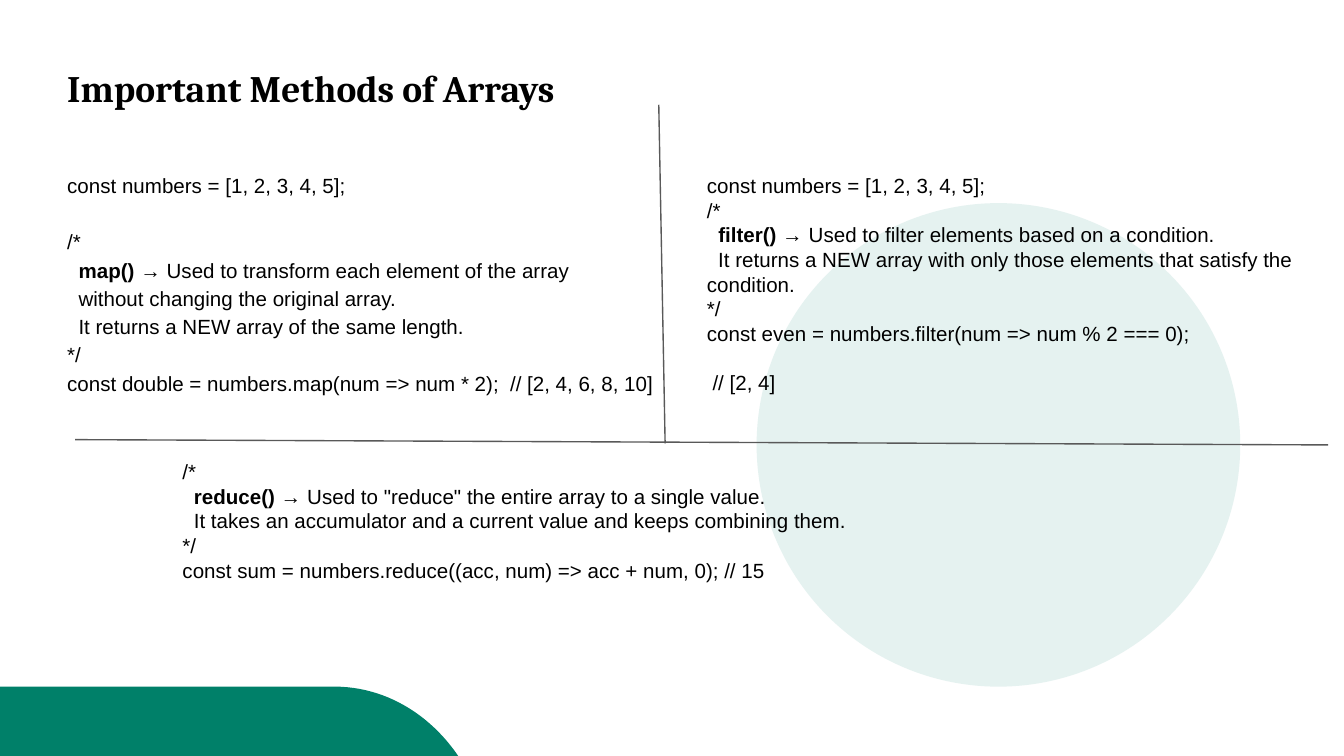
from dataclasses import dataclass

import pptx
import pptx.dml.color
import pptx.enum.shapes
import pptx.enum.text
import pptx.oxml
import pptx.util
from pptx.util import Cm


@dataclass(frozen=True)
class Theme:
    text: str = "000000"
    circle: str = "E5F2F0"
    accent: str = "008069"
    divider: str = "595959"
    title_font: str = "Cambria"
    body_font: str = "Arial"
    title_size: int = 20
    body_size: int = 11
    divider_width: float = 0.75
    inset: float = 0.25


class SlideBuilder:
    def __init__(self, slide, theme):
        self.slide = slide
        self.theme = theme

    def color(self, value):
        return pptx.dml.color.RGBColor.from_string(value)

    def place(self, shape, left, top, width, height):
        shape.left, shape.top = Cm(left), Cm(top)
        shape.width, shape.height = Cm(width), Cm(height)

    def prepare_frame(self, text_frame):
        text_frame.word_wrap = True
        text_frame.auto_size = pptx.enum.text.MSO_AUTO_SIZE.NONE
        text_frame.vertical_anchor = pptx.enum.text.MSO_ANCHOR.TOP
        for side in ("left", "right", "top", "bottom"):
            setattr(text_frame, f"margin_{side}", Cm(self.theme.inset))

    def style_run(self, run, font_name, size, bold):
        run.font.name = font_name
        run.font.size = pptx.util.Pt(size)
        run.font.bold = bold
        run.font.color.rgb = self.color(self.theme.text)

    def fill(self, shape, color):
        shape.shadow.inherit = False
        shape.fill.solid()
        shape.fill.fore_color.rgb = self.color(color)
        shape.line.fill.background()

    def circle(self, left, top, diameter):
        shape = self.slide.shapes.add_shape(
            pptx.enum.shapes.MSO_SHAPE.OVAL,
            Cm(left), Cm(top), Cm(diameter), Cm(diameter))
        self.fill(shape, self.theme.circle)

    def corner(self, top, bottom, curve, steps=24):
        points = []
        for step in range(steps + 1):
            t = step / steps
            weights = ((1 - t) ** 3, 3 * t * (1 - t) ** 2, 3 * t ** 2 * (1 - t), t ** 3)
            points.append(tuple(
                Cm(sum(weight * point[axis] for weight, point in zip(weights, curve)))
                for axis in (0, 1)))
        builder = self.slide.shapes.build_freeform(0, Cm(top))
        builder.add_line_segments(points + [(0, Cm(bottom))], close=True)
        self.fill(builder.convert_to_shape(), self.theme.accent)

    def title(self, text, left, top, width, height):
        shape = self.slide.shapes.title
        self.place(shape, left, top, width, height)
        self.prepare_frame(shape.text_frame)
        shape.text_frame.text = text
        paragraph = shape.text_frame.paragraphs[0]
        paragraph.alignment = pptx.enum.text.PP_ALIGN.LEFT
        self.style_run(paragraph.runs[0], self.theme.title_font, self.theme.title_size, True)

    def code(self, lines, bold_text, box, spacing=1.0, first_spacing=None, gaps=None):
        shape = self.slide.shapes.add_textbox(*map(Cm, box))
        text_frame = shape.text_frame
        self.prepare_frame(text_frame)
        for index, line in enumerate(lines):
            paragraph = text_frame.add_paragraph() if index else text_frame.paragraphs[0]
            paragraph.line_spacing = spacing if index else first_spacing or spacing
            paragraph.space_before = pptx.util.Pt((gaps or {}).get(index, 0))
            for part in line.partition(bold_text):
                if part:
                    run = paragraph.add_run()
                    run.text = part
                    self.style_run(run, self.theme.body_font, self.theme.body_size,
                                   part == bold_text)

    def divider(self, start, end):
        connector = self.slide.shapes.add_connector(
            pptx.enum.shapes.MSO_CONNECTOR.STRAIGHT, *map(Cm, start + end))
        connector.line.color.rgb = self.color(self.theme.divider)
        connector.line.width = pptx.util.Pt(self.theme.divider_width)
        properties = connector.element.spPr
        properties.append(pptx.oxml.parse_xml(
            '<a:effectLst xmlns:a="http://schemas.openxmlformats.org/drawingml/2006/main"/>'))


def main():
    presentation = pptx.Presentation()
    presentation.slide_width, presentation.slide_height = Cm(25.4), Cm(14.29)
    slide = presentation.slides.add_slide(presentation.slide_layouts[5])
    builder = SlideBuilder(slide, Theme())

    builder.circle(14.3, 3.84, 9.14)
    builder.corner(12.98, 14.29,
                   [(6.32, 12.98), (7.29, 12.98), (8.13, 13.51), (8.66, 14.29)])
    builder.title("Important Methods of Arrays", 1.02, 0.99, 13.77, 1.52)

    numbers = "const numbers = [1, 2, 3, 4, 5];"
    builder.code([
        numbers,
        "/*",
        "  map() → Used to transform each element of the array",
        "  without changing the original array.",
        "  It returns a NEW array of the same length.",
        "*/",
        "const double = numbers.map(num => num * 2);  // [2, 4, 6, 8, 10]",
    ], "map()", (1.02, 2.95, 12.27, 4.88), spacing=1.15, gaps={1: 15})
    builder.code([
        numbers,
        "/*",
        "  filter() → Used to filter elements based on a condition.",
        "  It returns a NEW array with only those elements that satisfy the condition.",
        "*/",
        "const even = numbers.filter(num => num % 2 === 0);",
        " // [2, 4]",
    ], "filter() →", (13.11, 2.95, 12.55, 4.83), first_spacing=1.15, gaps={6: 13})
    builder.code([
        "/*",
        "  reduce() → Used to \"reduce\" the entire array to a single value.",
        "  It takes an accumulator and a current value and keeps combining them.",
        "*/",
        "const sum = numbers.reduce((acc, num) => acc + num, 0); // 15",
    ], "reduce() →", (3.2, 8.43, 19.41, 2.87))

    builder.divider((12.45, 1.98), (12.57, 8.38))
    builder.divider((1.42, 8.31), (25.1, 8.41))
    presentation.save("out.pptx")


if __name__ == "__main__":
    main()
